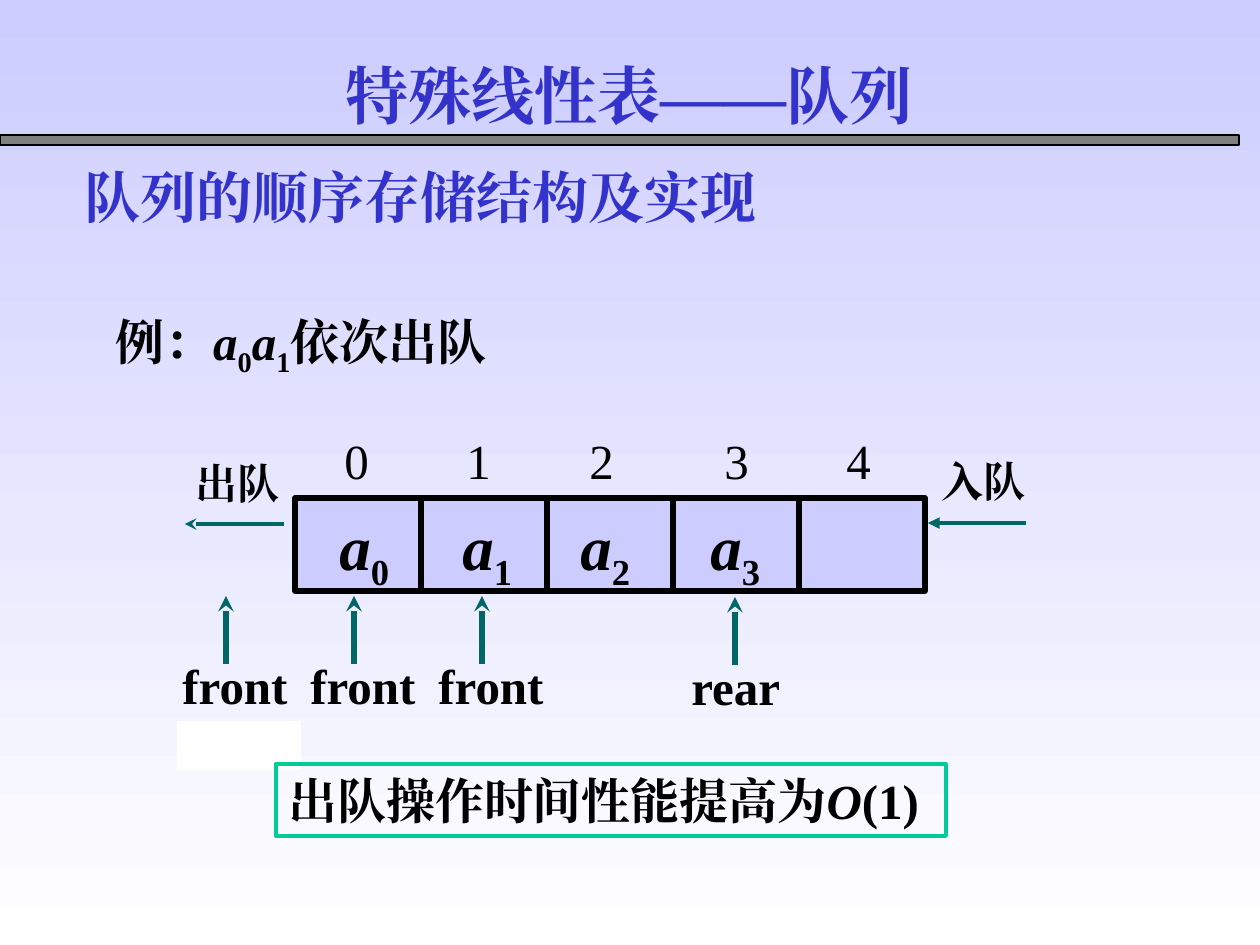
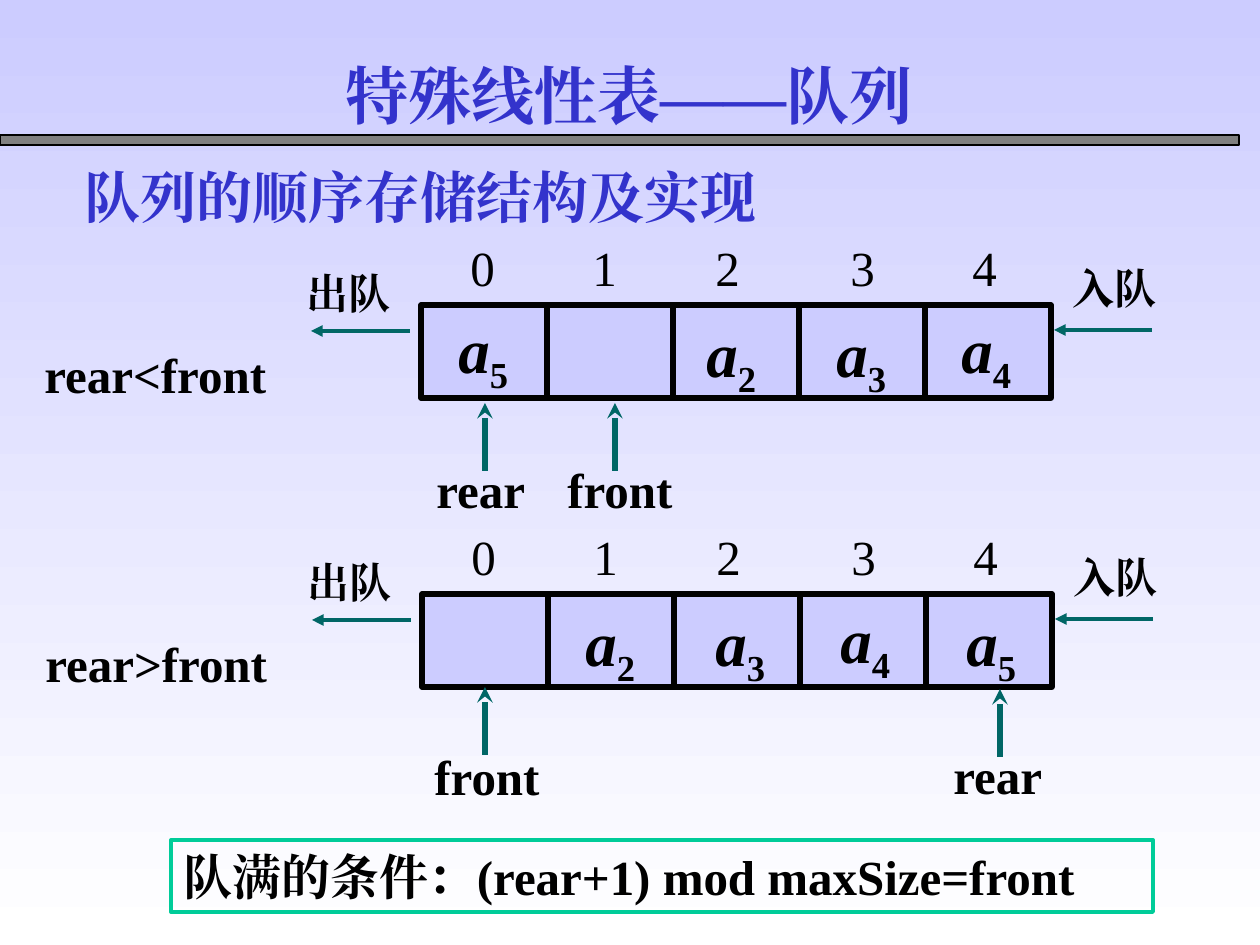
import dataclasses

import pptx
import pptx.dml.color
import pptx.enum.shapes
import pptx.enum.text
import pptx.oxml
import pptx.oxml.ns
import pptx.util

PX = 914400 / 126  # EMU in one px


@dataclasses.dataclass(frozen=True)
class Theme:
    font: str = "Times New Roman"
    sky: str = "CCCCFF"
    white: str = "FFFFFF"
    ink: str = "000000"
    accent: str = "3333CC"
    grey: str = "808080"
    arrow: str = "006666"
    frame: str = "00CC99"
    title_size: int = 36
    heading_size: int = 32
    body_size: int = 28
    flow_size: int = 24


THEME = Theme()
CELL_WIDTH, CELL_HEIGHT, CELL_COUNT = 126, 93, 5
INDEX_TABS = (122, 245, 380, 502)
POINTER_LENGTH = 68


def px(length):
    return pptx.util.Emu(round(length * PX))


def rgb(code):
    return pptx.dml.color.RGBColor.from_string(code)


def add_xml(parent, tag, **attributes):
    child = pptx.oxml.parse_xml(f"<{tag} {pptx.oxml.ns.nsdecls('a')}/>")
    for name, value in attributes.items():
        child.set(name, str(value))
    parent.append(child)
    return child


# Basic parts

def write(shape, spans, size, color=THEME.ink, bold=True):
    """Fill a shape with one paragraph of (text, style) spans."""
    frame = shape.text_frame
    frame.word_wrap = True
    frame.vertical_anchor = pptx.enum.text.MSO_ANCHOR.TOP
    para = frame.paragraphs[0]
    para.alignment = pptx.enum.text.PP_ALIGN.LEFT
    para.font.name = THEME.font
    para.font.size = pptx.util.Pt(size)
    para.font.bold = bold
    para.font.color.rgb = rgb(color)
    add_xml(para._p.pPr.defRPr if hasattr(para._p.pPr, "defRPr")
            else para._p.pPr.find(pptx.oxml.ns.qn("a:defRPr")),
            "a:ea", typeface=THEME.font)
    for text, style in spans:
        span = para.add_run()
        span.text = text
        if style == "italic":
            span.font.italic = True
        elif style == "sub":
            span._r.get_or_add_rPr().set("baseline", "-25000")
    return para


def add_text(page, box, spans, size, **look):
    shape = page.shapes.add_textbox(*map(px, box))
    if isinstance(spans, str):
        spans = [(spans, "")]
    return write(shape, spans, size, **look)


def add_rect(page, box, fill=None, line=None, width=0.75):
    shape = page.shapes.add_shape(
        pptx.enum.shapes.MSO_SHAPE.RECTANGLE, *map(px, box))
    shape.shadow.inherit = False
    if fill:
        shape.fill.solid()
        shape.fill.fore_color.rgb = rgb(fill)
    else:
        shape.fill.background()
    if line:
        shape.line.color.rgb = rgb(line)
        shape.line.width = pptx.util.Pt(width)
    else:
        shape.line.fill.background()
    return shape


def add_arrow(page, start, end, width, head):
    arrow = page.shapes.add_connector(
        pptx.enum.shapes.MSO_CONNECTOR.STRAIGHT, *map(px, start + end))
    arrow.line.color.rgb = rgb(THEME.arrow)
    arrow.line.width = pptx.util.Pt(width)
    add_xml(arrow.line._get_or_add_ln(), "a:tailEnd", type=head)
    add_xml(arrow._element.spPr, "a:effectLst")


# Shared page: background, rule, title and heading

def add_page(deck):
    page = deck.slides.add_slide(deck.slide_layouts[6])
    fill = page.background.fill
    fill.gradient()
    fill.gradient_angle = 270
    for stop, color, position in zip(
            fill.gradient_stops, (THEME.sky, THEME.white), (0, 1)):
        stop.color.rgb = rgb(color)
        stop.position = position

    add_rect(page, (0, 135, 1239, 10), THEME.grey, THEME.ink)
    title = add_text(page, (333, 50, 742, 88), "特殊线性表——队列",
                     THEME.title_size, color=THEME.accent)
    effects = add_xml(title.runs[0]._r.get_or_add_rPr(), "a:effectLst")
    shadow = add_xml(effects, "a:outerShdw", dist=25400, dir=2700000)
    add_xml(shadow, "a:srgbClr", val=THEME.grey)
    add_text(page, (72, 156, 851, 81), "队列的顺序存储结构及实现",
             THEME.heading_size, color=THEME.accent)
    return page


def add_conclusion(page, box, spans):
    write(add_rect(page, box, line=THEME.frame, width=2.25),
          spans, THEME.body_size)


# Queue diagram, placed from the top left corner of its first cell

def add_queue(page, origin, items, pointers, out_label, in_label,
              out_head="triangle", relation=None):
    left, top = origin

    def at(x, y):
        return left + x, top + y

    for slot in range(CELL_COUNT):
        add_rect(page, (*at(slot * CELL_WIDTH, 0), CELL_WIDTH, CELL_HEIGHT),
                 THEME.sky, THEME.ink, 3)

    # Index row
    indexes = add_text(page, (*at(37, -74), 589, 72),
                       "\t".join(map(str, range(CELL_COUNT))),
                       THEME.body_size, bold=False)
    tabs = pptx.oxml.parse_xml(f"<a:tabLst {pptx.oxml.ns.nsdecls('a')}/>")
    for stop in INDEX_TABS:
        add_xml(tabs, "a:tab", pos=px(stop), algn="l")
    indexes._p.pPr.insert(0, tabs)

    # Entry and exit
    add_arrow(page, at(731, 25), at(633, 25), 2.25, "triangle")
    add_arrow(page, at(-11, 26), at(-110, 26), 2.25, out_head)
    for text, corner in (("入队", in_label), ("出队", out_label)):
        add_text(page, (*at(*corner), 136, 63), text, THEME.flow_size)

    # Stored elements
    for number, x, y in items:
        add_text(page, (*at(x, y), 81, 100),
                 [("a", "italic"), (number, "sub")], THEME.title_size)

    # Pointers: arrow tip, then the label's offset from the tip
    for name, x, y, label_x, label_y in pointers:
        add_arrow(page, at(x, y + POINTER_LENGTH), at(x, y), 3, "stealth")
        add_text(page, (*at(x + label_x, y + label_y), 134, 72),
                 name, THEME.body_size)

    if relation:
        add_text(page, (*at(-389, 33), 277, 72), relation, THEME.body_size)


# Pages

def add_dequeue_page(deck):
    page = add_page(deck)
    add_text(page, (103, 305, 465, 79),
             [("例：", ""), ("a", "italic"), ("0", "sub"), ("a", "italic"),
              ("1", "sub"), ("依次出队", "")], THEME.body_size)
    add_rect(page, (177, 721, 124, 49), THEME.white)
    fronts = [("front", -69 + step * 128, 98, -56, 53) for step in range(3)]
    add_queue(
        page, (295, 498),
        items=[("0", 32, 3), ("1", 155, 3), ("2", 273, 3), ("3", 403, 3)],
        pointers=fronts + [("rear", 440, 99, -56, 53)],
        out_label=(-112, -47), in_label=(634, -49), out_head="stealth")
    add_conclusion(page, (276, 764, 670, 72),
                   [("出队操作时间性能提高为", ""), ("O", "italic"),
                    ("(1)", "")])


def add_full_queue_page(deck):
    page = add_page(deck)
    labels = {"out_label": (-127, -44), "in_label": (639, -49)}
    add_queue(
        page, (421, 305),
        items=[("5", 25, -1), ("2", 273, 3), ("3", 403, 3), ("4", 528, -1)],
        pointers=[("rear", 64, 98, -61, 50), ("front", 194, 98, -60, 50)],
        relation="rear<front", **labels)
    add_queue(
        page, (422, 594),
        items=[("2", 151, 3), ("3", 281, 3), ("4", 406, 0), ("5", 532, 3)],
        pointers=[("front", 63, 93, -63, 53), ("rear", 578, 95, -59, 50)],
        relation="rear>front", **labels)
    add_conclusion(page, (171, 840, 982, 72),
                   [("队满的条件：(rear+1) mod maxSize=front", "")])


def main():
    deck = pptx.Presentation()
    deck.slide_width, deck.slide_height = px(1260), px(945)
    add_dequeue_page(deck)
    add_full_queue_page(deck)
    deck.save("out.pptx")


if __name__ == "__main__":
    main()
